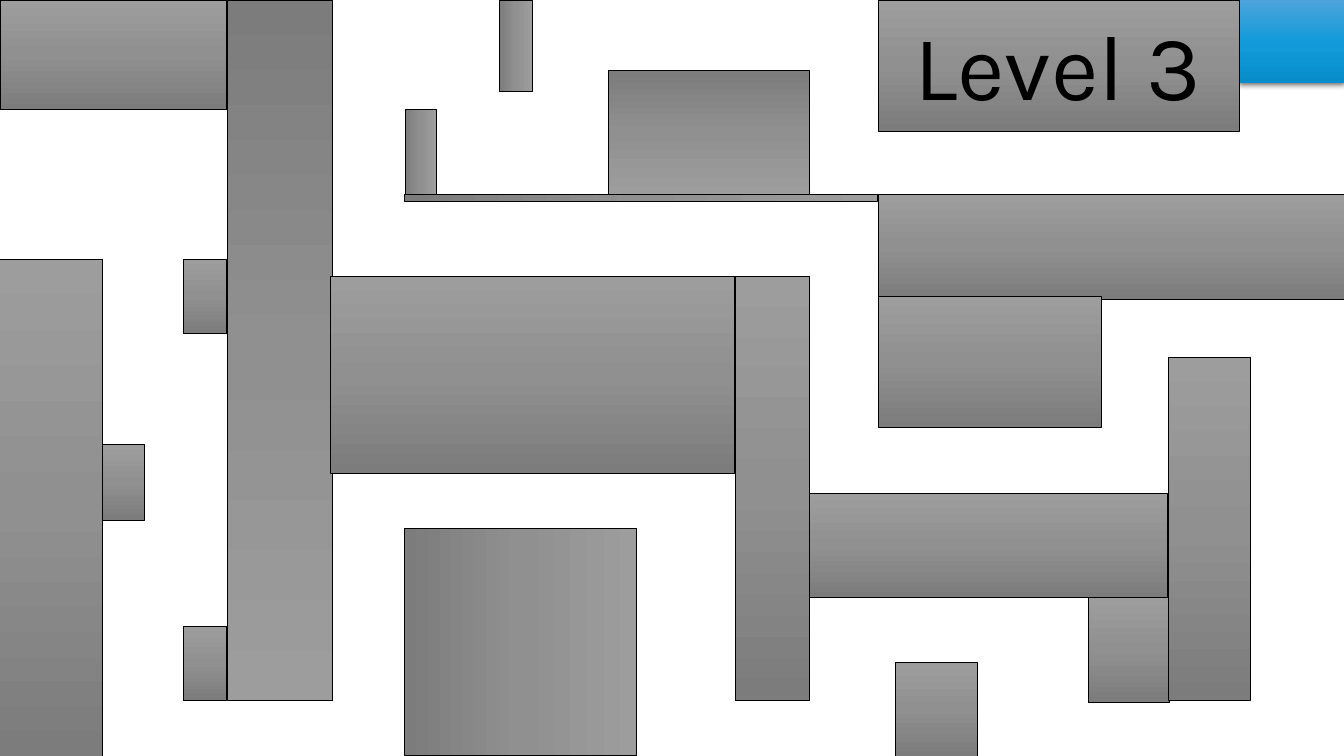
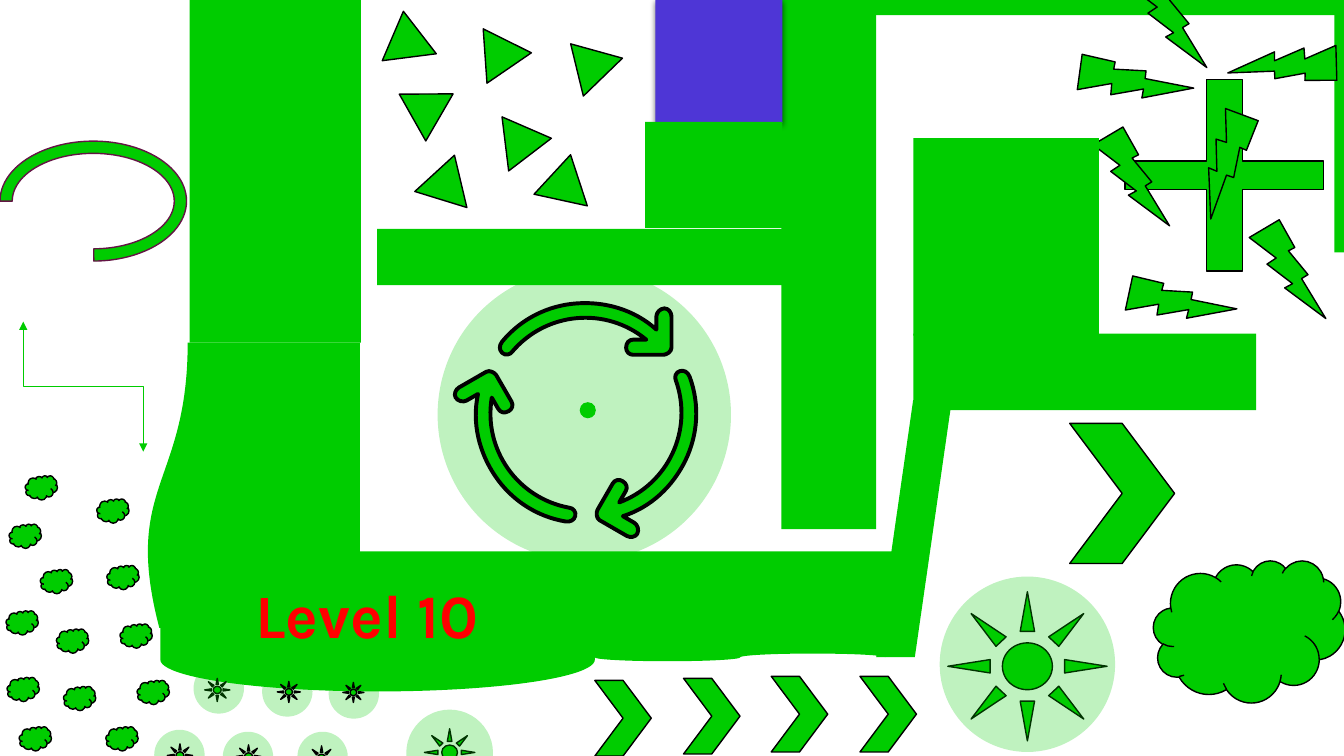
from math import cos, radians, sin

from lxml.etree import SubElement
from pptx import Presentation
from pptx.dml.color import RGBColor
from pptx.enum.shapes import MSO_CONNECTOR as Link, MSO_SHAPE as Kind
from pptx.enum.text import MSO_ANCHOR as Anchor, MSO_AUTO_SIZE as Fit, PP_ALIGN as Align
from pptx.oxml.ns import qn
from pptx.util import Inches, Pt

WHITE = RGBColor(0xFF, 0xFF, 0xFF)
BLACK = RGBColor(0x00, 0x00, 0x00)
GREEN = RGBColor(0x00, 0xCC, 0x00)
RED = RGBColor(0xFF, 0x00, 0x00)
PURPLE = RGBColor(0x4E, 0x36, 0xD6)
WINE = RGBColor(0x63, 0x14, 0x44)
GREYS = [RGBColor(0x9D, 0x9D, 0x9D), RGBColor(0x90, 0x90, 0x90), RGBColor(0x7C, 0x7C, 0x7C)]
BLUES = [RGBColor(0x4D, 0xA4, 0xDB), RGBColor(0x12, 0x9B, 0xDA), RGBColor(0x08, 0x8D, 0xCA)]
FONT = "Karla"
WIDE, HIGH = 13.33, 7.5

BLOCKS = [
    (0, 0, 2.25, 1.09, 0), (8.71, 0, 3.58, 1.3, 0), (-0.01, 2.57, 1.03, 4.93, 0),
    (2.25, 0, 1.05, 6.95, 180), (4.04, 5.22, 2.25, 2.3, 90), (3.28, 2.74, 4, 1.96, 0),
    (1.82, 2.57, 0.43, 0.74, 0), (1.02, 4.41, 0.41, 0.75, 0), (1.82, 6.21, 0.43, 0.74, 0),
    (7.29, 2.74, 0.74, 4.21, 0), (8.88, 6.57, 0.81, 0.93, 0), (8.03, 4.89, 3.55, 1.04, 0),
    (10.79, 5.93, 0.81, 1.04, 0), (11.59, 3.55, 0.81, 3.4, 0), (8.71, 1.93, 4.63, 1.04, 0),
    (8.71, 2.94, 2.21, 1.3, 0), (3.75, 1.35, 0.84, 0.31, 90), (6.32, -0.38, 0.07, 4.69, 90),
    (4.66, 0.29, 0.91, 0.33, 90), (6.03, 0.7, 2, 1.23, 180),
]
WALLS = [
    (1.03, 0.85, 3.4, 1.7, 270), (9.06, 3.31, 3.4, 0.76, 0), (3.49, 5.47, 5.42, 0.82, 0),
    (12.03, 1.2, 2.51, 0.1, 90), (9.06, 1.37, 1.84, 1.96, 0), (7.75, 0, 5.52, 0.15, 0),
    (7.75, 0, 0.94, 5.25, 0), (3.74, 2.27, 4.08, 0.56, 0),
]
CLOUDS = [
    (0.25, 0), (0.96, 0.23), (0.09, 0.48), (1.06, 0.89), (0.4, 0.93), (0.06, 1.34), (0.56, 1.52),
    (1.19, 1.47), (0.07, 2), (0.19, 2.49), (0.63, 2.09), (1.05, 2.49), (1.36, 2.03),
]
FLAGS = [
    (0, 0, 352.7), (0.13, 0.71, 300.1), (1.21, 1.06, 83), (1.01, 0.2, 86),
    (0.41, 1.42, 17.1), (1.58, 1.42, 12.3), (1.79, 0.26, 315.9),
]
BOLTS = [(1.58, 1.89, 0), (0.96, 0.79, 51), (0.03, 0.97, 0), (0.46, 2.23, 312.8)]
ARROW = [
    [(0.47, -0.73)],
    [(0.43, -0.73), (0.4, -0.7), (0.4, -0.65)], [(0.4, -0.61), (0.43, -0.58), (0.47, -0.58)],
    [(0.77, -0.58)], [(0.8, -0.58), (0.85, -0.61), (0.85, -0.65)], [(0.85, -0.96)],
    [(0.85, -1), (0.82, -1.04), (0.78, -1.04)], [(0.74, -1.04), (0.7, -1), (0.7, -0.96)],
    [(0.7, -0.83)], [(0.48, -1.03), (0.19, -1.11), (-0.09, -1.09)],
    [(-0.37, -1.07), (-0.64, -0.94), (-0.83, -0.71)],
    [(-0.86, -0.67), (-0.86, -0.63), (-0.83, -0.6)],
    [(-0.8, -0.57), (-0.75, -0.58), (-0.73, -0.61)],
    [(-0.39, -1.01), (0.2, -1.06), (0.6, -0.73)],
]


def node(up, tag, **attrs):
    return SubElement(up, qn(tag), {key: str(val) for key, val in attrs.items()})


def paint(shape, fill, line=None, width=1):
    shape.shadow.inherit = False
    if isinstance(fill, list):
        shape.fill.background()
        props = shape.element.spPr
        old = props.find(qn("a:noFill"))
        grad = node(props, "a:gradFill", rotWithShape=1)
        props.replace(old, grad)
        stops = node(grad, "a:gsLst")
        for i, tone in enumerate(fill):
            node(node(stops, "a:gs", pos=i * 50000), "a:srgbClr", val=tone)
        node(grad, "a:lin", ang=5400000, scaled=0)
    else:
        shape.fill.solid()
        shape.fill.fore_color.rgb = fill
    if line is None:
        shape.line.fill.background()
    else:
        shape.line.color.rgb = line
        shape.line.width = Pt(width)


def put(slide, kind, box, fill=GREEN, line=None, width=1, rot=0, adj=()):
    shape = slide.shapes.add_shape(kind, *map(Inches, box))
    paint(shape, fill, line, width)
    shape.rotation = rot
    for i, val in enumerate(adj):
        shape.adjustments[i] = val
    return shape


def strew(slide, kind, x, y, size, spots):
    for dx, dy, *rot in spots:
        put(slide, kind, (x + dx, y + dy, *size), line=BLACK, rot=rot[0] if rot else 0)


def shade(shape):
    glow = shape.element.spPr.find(qn("a:effectLst"))
    drop = node(glow, "a:outerShdw", blurRad=Pt(4.5), dist=Pt(1.5), dir=5400000,
                algn="ctr", rotWithShape=0)
    node(node(drop, "a:srgbClr", val=BLACK), "a:alpha", val=63000)


def tint(slide, x, y, size):
    disc = put(slide, Kind.OVAL, (x, y, size, size))
    tone = disc.element.spPr.find(qn("a:solidFill"))[0]
    node(tone, "a:alpha", val=25000)


def sun(slide, x, y, w, h):
    put(slide, Kind.SUN, (x, y, w, h), line=BLACK, adj=[0.343])


def start(deck):
    slide = deck.slides.add_slide(deck.slide_layouts[5])
    put(slide, Kind.RECTANGLE, (0, 0, WIDE, HIGH), WHITE)
    return slide


def head(slide, box, text, size, color, bold, anchor, gap):
    title = slide.shapes.title
    title.left, title.top, title.width, title.height = map(Inches, box)
    frame = title.text_frame
    frame.text = text
    frame.word_wrap = True
    frame.auto_size = Fit.NONE
    frame.vertical_anchor = anchor
    para = frame.paragraphs[0]
    para.alignment = Align.CENTER
    para.line_spacing = gap
    font = para.runs[0].font
    font.name, font.size, font.bold = FONT, Pt(size), bold
    font.color.rgb = color
    slide.shapes._spTree.append(title.element)


def blocks(slide, x, y):
    for dx, dy, w, h, rot in BLOCKS:
        put(slide, Kind.RECTANGLE, (x + dx, y + dy, w, h), GREYS, BLACK, 0.5, rot)


def walls(slide, x, y):
    for dx, dy, w, h, rot in WALLS:
        put(slide, Kind.RECTANGLE, (x + dx, y + dy, w, h), rot=rot)
    bank = put(slide, Kind.FLOWCHART_DOCUMENT, (x + 1.09, y + 3.75, 2.83, 2.13), rot=90)
    bank.element.spPr.xfrm.set("flipH", "1")
    put(slide, Kind.FLOWCHART_DELAY, (x + 3.43, y + 4.39, 0.63, 4.31), rot=90)
    put(slide, Kind.FLOWCHART_PUNCHED_TAPE, (x + 5.9, y + 6.18, 2.88, 0.38))
    put(slide, Kind.PARALLELOGRAM, (x + 8.69, y + 3.97, 0.75, 2.55), adj=[0.489])


def elbow(slide, x, y, w, h):
    ends = (x + w, y, x, y + h)
    link = slide.shapes.add_connector(Link.ELBOW, *map(Inches, ends))
    link.line.color.rgb = GREEN
    link.line.width = Pt(0.5)
    props = link.element.spPr
    props.xfrm.set("rot", "16200000")
    line = props.find(qn("a:ln"))
    node(line, "a:headEnd", type="triangle")
    node(line, "a:tailEnd", type="triangle")
    node(props, "a:effectLst")


def trace(group, steps):
    ends = [step[-1] for step in steps]
    pen = group.shapes.build_freeform(*ends[0])
    pen.add_line_segments(ends[1:], close=True)
    shape = pen.convert_to_shape()
    lines = list(shape.element.spPr.iter(qn("a:lnTo")))
    left, top = min(x for x, y in ends), min(y for x, y in ends)
    for line, step in zip(lines, steps[1:]):
        if len(step) == 3:
            up = line.getparent()
            curve = node(up, "a:cubicBezTo")
            up.replace(line, curve)
            for x, y in step:
                node(curve, "a:pt", x=x - left, y=y - top)
    return shape


def cycle(slide, x, y):
    group = slide.shapes.add_group_shape()
    for turn in (240, 120, 0):
        c, s = cos(radians(turn)), sin(radians(turn))
        steps = [[(Inches(x + c * a - s * b), Inches(y + s * a + c * b)) for a, b in step]
                 for step in ARROW]
        paint(trace(group, steps), GREEN, BLACK, 2.8)
    put(group, Kind.OVAL, (x - 0.06, y - 0.11, 0.16, 0.16))


def suns(slide, x, y):
    for dx, dy, w, h in [(0.5, 1.01, 0.25, 0.23), (2.68, 1.51, 0.5, 0.47), (7.87, 0.15, 1.58, 1.48)]:
        sun(slide, x + dx, y + dy, w, h)
    for dx, dy, size in [(1.07, 0.89, 0.5), (0.68, 1.54, 0.5), (0, 1.52, 0.5), (0.39, 0.86, 0.5),
                         (2.5, 1.32, 0.86), (1.73, 0.91, 0.5), (1.42, 1.54, 0.5), (7.79, 0, 1.74)]:
        tint(slide, x + dx, y + dy, size)
    for dx, dy, w, h in [(1.22, 1.04, 0.23, 0.21), (1.87, 1.05, 0.21, 0.2), (0.13, 1.66, 0.25, 0.23),
                         (0.81, 1.67, 0.25, 0.23), (1.53, 1.68, 0.26, 0.24)]:
        sun(slide, x + dx, y + dy, w, h)


def storm(slide, x, y):
    put(slide, Kind.CROSS, (x + 0.35, y + 0.5, 1.97, 1.9), line=BLACK, adj=[0.425])
    strew(slide, Kind.LIGHTNING_BOLT, x, y, (0.76, 0.98), BOLTS)
    strew(slide, Kind.LIGHTNING_BOLT, x, y, (0.76, 1.06), [(0, 0, 310.4)])


def third(deck):
    slide = start(deck)
    shade(put(slide, Kind.RECTANGLE, (12.29, 0, 1.05, 0.82), BLUES))
    blocks(slide, 0, 0)
    head(slide, (8.81, 0.03, 3.36, 1.21), "Level 3", 66, BLACK, False, Anchor.TOP, 1.0)


def tenth(deck):
    slide = start(deck)
    tint(slide, 4.34, 2.66, 2.91)
    storm(slide, 10.81, 0.29)
    elbow(slide, 0.18, 3.24, 1.29, 1.19)
    strew(slide, Kind.CLOUD, 0, 4.72, (0.32, 0.24), CLOUDS)
    walls(slide, 0, 0)
    strew(slide, Kind.LIGHTNING_BOLT, 11.21, -0.31, (0.76, 0.98), [(0, 0), (1.2, 0.45, 119.1)])
    strew(slide, Kind.ISOSCELES_TRIANGLE, 3.76, 0.11, (0.54, 0.46), FLAGS)
    shade(put(slide, Kind.RECTANGLE, (6.5, 0, 1.26, 1.22), PURPLE))
    put(slide, Kind.RECTANGLE, (6.4, 1.21, 1.36, 1.05))
    strew(slide, Kind.CHEVRON, 5.9, 6.71, (0.56, 0.75),
          [(0, 0.04), (0.88, 0.02), (1.75, 0), (2.63, 0)])
    put(slide, Kind.CHEVRON, (10.61, 4.2, 1.04, 1.39), line=BLACK)
    put(slide, Kind.CLOUD, (11.44, 5.56, 1.9, 1.41), line=BLACK)
    put(slide, Kind.BLOCK_ARC, (0, 1.4, 1.85, 1.19), line=WINE, adj=[108, 53.659, 0.102])
    suns(slide, 1.53, 5.72)
    cycle(slide, 5.81, 4.1)
    head(slide, (2.1, 5.5, 3.08, 1.02), "Level 10", 44, RED, True, Anchor.BOTTOM, 0.9)


def main():
    deck = Presentation()
    deck.slide_width, deck.slide_height = Inches(WIDE), Inches(HIGH)
    third(deck)
    tenth(deck)
    deck.save("out.pptx")


if __name__ == "__main__":
    main()
